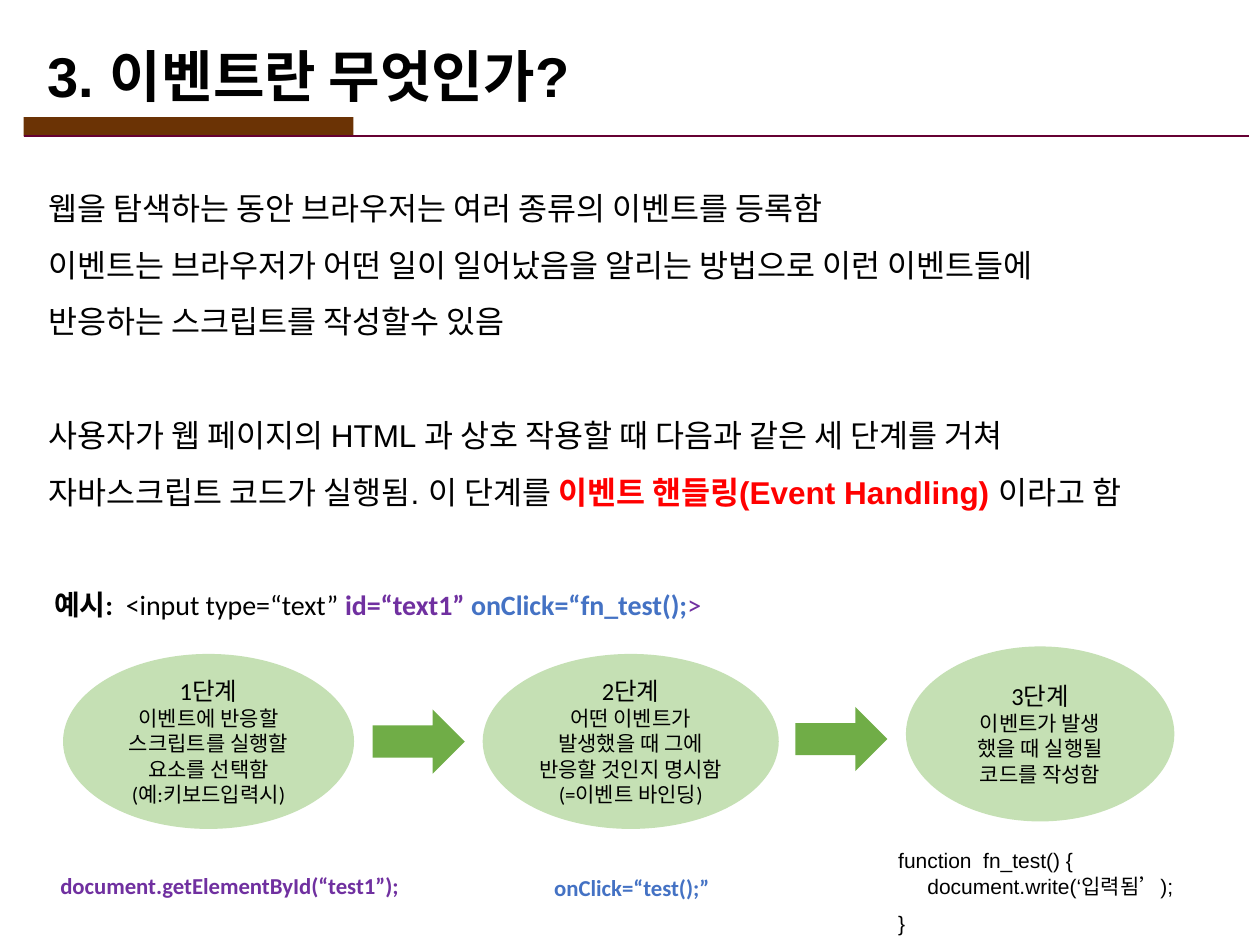
from pptx import Presentation
from pptx.util import Pt
from pptx.dml.color import RGBColor
from pptx.enum import shapes as s, text as t
from pptx.oxml.ns import qn
from lxml import etree

HUES = {"ink": "000000", "brown": "6B3305", "wine": "660033", "red": "FF0000",
        "pale": "C5E0B4", "green": "70AD47", "plum": "7030A0", "blue": "4472C4"}


def write(frame, rows, font, align=t.PP_ALIGN.LEFT):
    """Fill a frame; a row is a list of (words, size, hue, bold) runs."""
    frame.auto_size = t.MSO_AUTO_SIZE.NONE
    for i, row in enumerate(rows):
        para = frame.add_paragraph() if i else frame.paragraphs[0]
        para.alignment = align
        for words, size, hue, bold in row:
            run = para.add_run()
            run.text = words
            run.font.name = font
            run.font.size = Pt(size)
            run.font.bold = bold
            run.font.color.rgb = RGBColor.from_string(HUES[hue])


def draw(kind, box, hue):
    """Add a plain filled shape without line or shadow."""
    shape = slide.shapes.add_shape(kind, *map(Pt, box))
    shape.shadow.inherit = False
    shape.fill.solid()
    shape.fill.fore_color.rgb = RGBColor.from_string(HUES[hue])
    shape.line.fill.background()
    return shape


deck = Presentation()
deck.slide_width, deck.slide_height = Pt(720), Pt(540)
slide = deck.slides.add_slide(deck.slide_layouts[1])

# Title and its rule
title = slide.shapes.title
title.left, title.top, title.width, title.height = map(Pt, (20, 20, 680.5, 46))
write(title.text_frame, [[("3. 이벤트란 무엇인가?", 32, "ink", True)]], "Arial")
draw(s.MSO_SHAPE.RECTANGLE, (13.5, 67, 188.5, 11), "brown")
rule = slide.shapes.add_connector(s.MSO_CONNECTOR.STRAIGHT, *map(Pt, (13.5, 77.8, 713.5, 77.8)))
rule.line.color.rgb = RGBColor.from_string(HUES["wine"])
rule.line.width = Pt(1.5)
etree.SubElement(rule._element.spPr, qn("a:effectLst"))

# Body
body = slide.placeholders[1]
body.left, body.top, body.width, body.height = map(Pt, (20.7, 93.6, 680.5, 269))
write(body.text_frame, [
    [("웹을 탐색하는 동안 브라우저는 여러 종류의 이벤트를 등록함", 18, "ink", False)],
    [("이벤트는 브라우저가 어떤 일이 일어났음을 알리는 방법으로 이런 이벤트들에", 18, "ink", False)],
    [("반응하는 스크립트를 작성할수 있음", 18, "ink", False)],
    [("사용자가 웹 페이지의 HTML 과 상호 작용할 때 다음과 같은 세 단계를 거쳐", 18, "ink", False)],
    [("자바스크립트 코드가 실행됨. 이 단계를 ", 18, "ink", False),
     ("이벤트 핸들링(Event Handling) ", 18, "red", True),
     ("이라고 함", 18, "ink", False)],
], "Arial")
for i, para in enumerate(body.text_frame.paragraphs):
    para.line_spacing = 1.5
    para.space_before = Pt(32.4 if i == 3 else 0)
    props = para._p.get_or_add_pPr()
    props.set("marL", "0")
    props.set("indent", "0")
    etree.SubElement(props, qn("a:buNone"))

# Three steps
steps = [
    ((36, 373.7, 166.3, 100), "1단계",
     ["이벤트에 반응할", "스크립트를 실행할", "요소를 선택함", "(예:키보드입력시)"]),
    ((275.8, 373.7, 169.2, 100), "2단계",
     ["어떤 이벤트가 발생했을 때 그에 반응할 것인지 명시함", "(=이벤트 바인딩)"]),
    ((517.7, 369.4, 153.4, 100), "3단계",
     ["이벤트가 발생", "했을 때 실행될", "코드를 작성함"]),
]
for box, head, lines in steps:
    oval = draw(s.MSO_SHAPE.OVAL, box, "pale")
    oval.text_frame.word_wrap = True
    oval.text_frame.vertical_anchor = t.MSO_ANCHOR.MIDDLE
    rows = [[(head, 14, "ink", False)]] + [[(line, 12, "ink", False)] for line in lines]
    write(oval.text_frame, rows, "Calibri", t.PP_ALIGN.CENTER)
for left, top in ((213, 405.4), (454.5, 404)):
    draw(s.MSO_SHAPE.RIGHT_ARROW, (left, top, 52.6, 36.7), "green")

# Code samples
notes = [
    ((23.8, 332, 394.5, 26.6), "Calibri", False, [[
        ("예시:  ", 16, "ink", True), ("<input type=“text”", 16, "ink", False),
        (" id=“text1” ", 16, "plum", True), ("onClick=“fn_test();", 16, "blue", True),
        (">", 16, "plum", False)]]),
    ((27.4, 494.6, 210, 23), "Calibri", False,
     [[("document.getElementById(“test1”);", 13, "plum", True)]]),
    ((309.6, 496, 104.4, 23), "Calibri", False, [[("onClick=“test();”", 13, "blue", True)]]),
    ((506.2, 473.8, 213.8, 65.5), "Arial", True,
     [[("function  fn_test() {", 12, "ink", False)],
      [("document.write(‘입력됨’);", 12, "ink", False)],
      [("}", 12, "ink", False)]]),
]
for box, font, wrap, rows in notes:
    note = slide.shapes.add_textbox(*map(Pt, box))
    note.text_frame.word_wrap = wrap
    write(note.text_frame, rows, font)
first, inner, last = note.text_frame.paragraphs
first.line_spacing = last.line_spacing = 1.5
inner._p.get_or_add_pPr().set("marL", str(Pt(16.7)))

deck.save("out.pptx")
